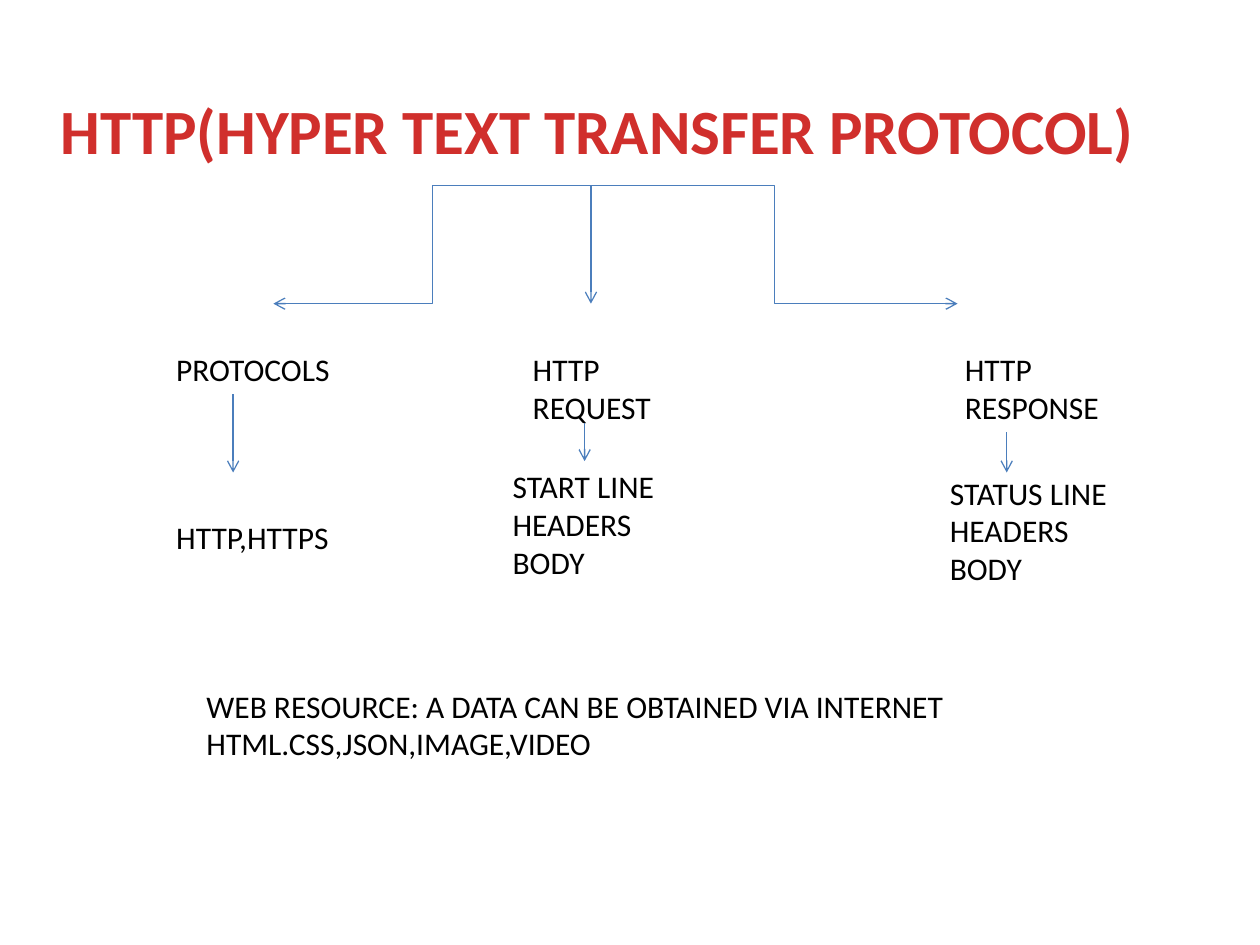
from lxml.etree import SubElement
from pptx import Presentation
from pptx.dml.color import RGBColor
from pptx.enum.shapes import MSO_CONNECTOR
from pptx.enum.text import MSO_ANCHOR, MSO_AUTO_SIZE, PP_ALIGN
from pptx.oxml.ns import qn
from pptx.util import Inches, Pt

COLORS = {"title": "D02F2C", "text": "000000", "arrow": "4B7EBC"}
FONT = "Calibri"


def style_paragraph(paragraph, size, color, bold=False):
    paragraph.alignment = PP_ALIGN.LEFT
    paragraph.font.name = FONT
    paragraph.font.size = Pt(size)
    paragraph.font.bold = bold
    paragraph.font.color.rgb = RGBColor.from_string(COLORS[color])


def add_label(slide, box, paragraphs, wrap=True):
    label = slide.shapes.add_textbox(*(Inches(value) for value in box))
    frame = label.text_frame
    frame.word_wrap = wrap
    frame.auto_size = MSO_AUTO_SIZE.SHAPE_TO_FIT_TEXT
    for index, text in enumerate(paragraphs):
        paragraph = frame.add_paragraph() if index else frame.paragraphs[0]
        paragraph.text = text
        style_paragraph(paragraph, 18, "text")
    return label


def add_arrow(slide, start, end, kind=MSO_CONNECTOR.STRAIGHT):
    arrow = slide.shapes.add_connector(
        kind, *(Inches(value) for value in (*start, *end)))
    arrow.line.color.rgb = RGBColor.from_string(COLORS["arrow"])
    arrow.line.width = Pt(0.75)
    SubElement(arrow.line._get_or_add_ln(), qn("a:tailEnd"), type="arrow")
    SubElement(arrow._element.spPr, qn("a:effectLst"))
    return arrow


def add_title(slide, box):
    title = slide.shapes.title
    title.left, title.top, title.width, title.height = map(Inches, box)
    frame = title.text_frame
    frame.text = "HTTP(HYPER TEXT TRANSFER PROTOCOL)"
    frame.word_wrap = True
    frame.auto_size = MSO_AUTO_SIZE.SHAPE_TO_FIT_TEXT
    frame.vertical_anchor = MSO_ANCHOR.TOP
    style_paragraph(frame.paragraphs[0], 36, "title", bold=True)


def add_branches(slide, box):
    """Three arrows fan out from one point on the top edge of the box."""
    left, top, width, height = box
    root = (4.69, top)
    bottom = top + height
    for x in (left, left + width):
        add_arrow(slide, root, (x, bottom), MSO_CONNECTOR.ELBOW)
    add_arrow(slide, root, (root[0], bottom))


def add_column(slide, box, heading, details, details_box, arrow_x, arrow_y):
    """Heading with details below; offsets count from the box's corner."""
    left, top, width, height = box
    add_label(slide, box, [heading])
    dx, dy, details_width, details_height = details_box
    detail_label = add_label(
        slide, (left + dx, top + dy, details_width, details_height),
        [details], wrap=False)
    start_y, end_y = arrow_y
    x = left + arrow_x
    arrow = add_arrow(slide, (x, top + start_y), (x, top + end_y))
    # Join the arrow only where it meets the middle of the details' top
    if abs(dx + details_width / 2 - arrow_x) < 0.01 and abs(end_y - dy) < 0.01:
        arrow.end_connect(detail_label, 0)


def add_web_resource(slide, box):
    add_label(slide, box, [
        "WEB RESOURCE: A DATA CAN BE OBTAINED VIA INTERNET",
        "HTML.CSS,JSON,IMAGE,VIDEO",
    ])


def main():
    presentation = Presentation()
    presentation.slide_width = Inches(10)
    presentation.slide_height = Inches(7.5)
    slide = presentation.slides.add_slide(presentation.slide_layouts[5])

    # Title and the branches below it
    add_title(slide, (0.38, 0.68, 9.13, 0.71))
    add_branches(slide, (2.17, 1.47, 5.43, 0.94))

    # Protocols, request and response
    column_top = 2.73
    add_column(slide, (1.3, column_top, 2.13, 0.4), "PROTOCOLS",
               "HTTP,HTTPS", (0, 1.33, 1.42, 0.4), 0.55, (0.4, 1.02))
    add_column(slide, (4.13, column_top, 1.5, 0.71), "HTTP REQUEST",
               "START LINE\nHEADERS\nBODY", (-0.16, 0.93, 1.34, 1.01),
               0.51, (0.63, 0.93))
    add_column(slide, (7.56, column_top, 1.5, 0.71), "HTTP RESPONSE",
               "STATUS LINE\nHEADERS\nBODY", (-0.12, 0.98, 1.46, 1.01),
               0.43, (0.7, 1.02))

    # Closing note
    add_web_resource(slide, (1.54, 5.4, 6.93, 0.71))

    presentation.save("out.pptx")


if __name__ == "__main__":
    main()
